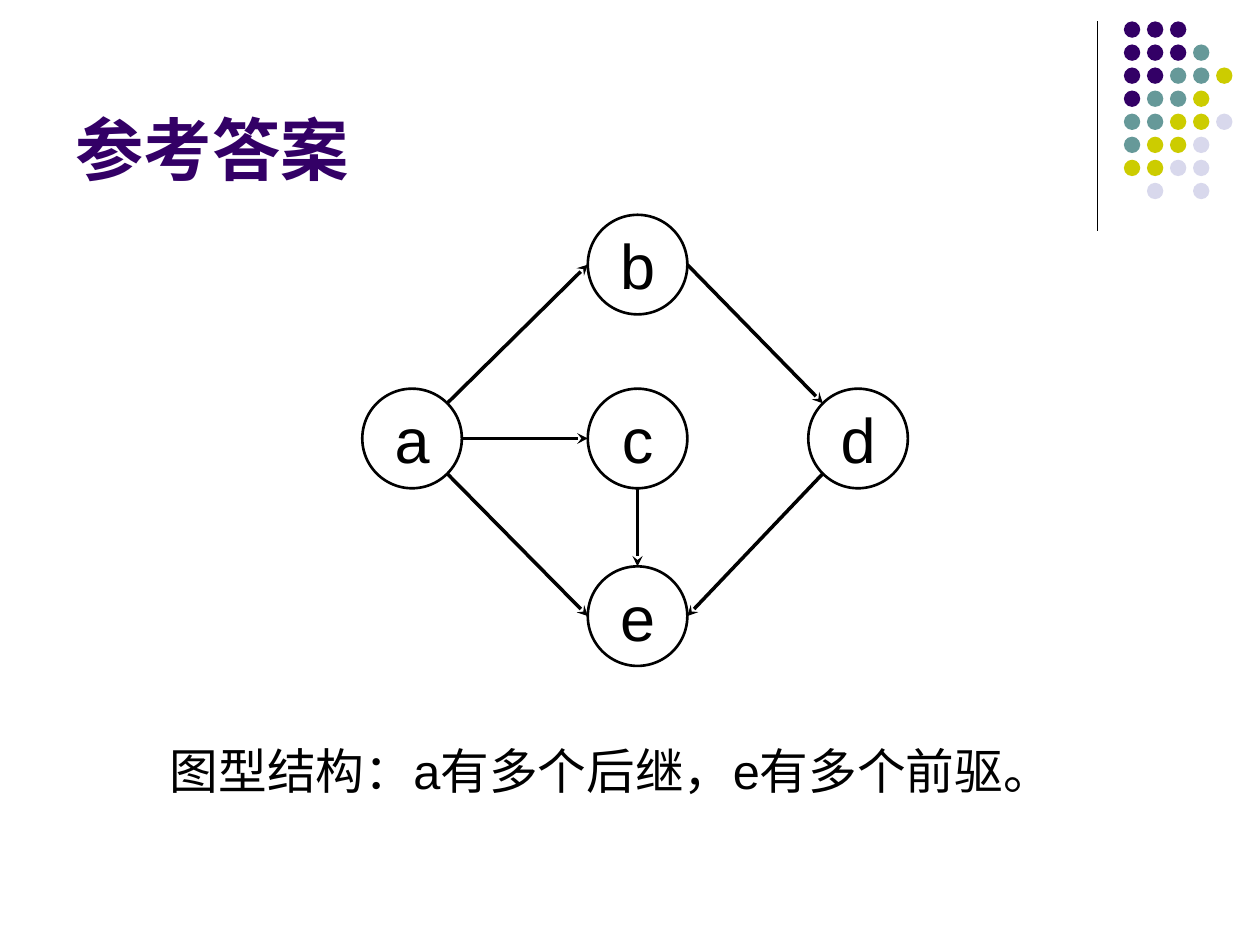
from math import cos, radians, sin
from pptx import Presentation
from pptx.dml.color import RGBColor
from pptx.enum.shapes import MSO_CONNECTOR, MSO_SHAPE
from pptx.enum.text import MSO_ANCHOR, MSO_AUTO_SIZE, PP_ALIGN
from pptx.oxml.ns import qn
from pptx.util import Inches, Pt
from lxml import etree

OVAL = MSO_SHAPE.OVAL
LINE = MSO_CONNECTOR.STRAIGHT
LEFT, MID = PP_ALIGN.LEFT, PP_ALIGN.CENTER
TOP, CORE, BASE = MSO_ANCHOR.TOP, MSO_ANCHOR.MIDDLE, MSO_ANCHOR.BOTTOM
FIXED = MSO_AUTO_SIZE.NONE

HUES = {"ink": "000000", "P": "330066", "T": "669999", "Y": "CCCC00", "L": "D8D8EC"}
INK = RGBColor.from_string(HUES["ink"])

deck = Presentation()
deck.slide_width, deck.slide_height = Inches(10), Inches(7.5)
slide = deck.slides.add_slide(deck.slide_layouts[5])
shapes = slide.shapes


def write(shape, text, size, hue, bold, align, anchor, wrap):
    frame = shape.text_frame
    frame.text = text
    form = {"auto_size": FIXED, "word_wrap": wrap, "vertical_anchor": anchor}
    for key, val in form.items():
        setattr(frame, key, val)
    para = frame.paragraphs[0]
    para.alignment = align
    para.font.color.rgb = RGBColor.from_string(HUES[hue])
    for key, val in {"name": "Arial", "size": Pt(size), "bold": bold}.items():
        setattr(para.font, key, val)


def draw(start, end, width, arrow):
    edge = shapes.add_connector(LINE, *(Inches(v) for v in (*start, *end)))
    edge.line.color.rgb = INK
    edge.line.width = Pt(width)
    if arrow:
        tail = etree.SubElement(edge.line._get_or_add_ln(), qn("a:tailEnd"))
        tail.set("type", "stealth")
    etree.SubElement(edge._element.spPr, qn("a:effectLst"))


draw((8.71, 0.17), (8.71, 1.83), 0.75, False)

DOTS = ["PPP", "PPPT", "PPTTY", "PTTY", "TTYYL", "TYYL", "YYLL", " L L"]
STEP, DOT = 0.183, 0.13
for row, marks in enumerate(DOTS):
    for col, mark in enumerate(marks):
        if mark == " ":
            continue
        spot = (8.92 + col * STEP, 0.17 + row * STEP, DOT, DOT)
        dot = shapes.add_shape(OVAL, *(Inches(v) for v in spot))
        dot.shadow.inherit = False
        dot.fill.solid()
        dot.fill.fore_color.rgb = RGBColor.from_string(HUES[mark])
        dot.line.fill.background()

title = shapes.title
place = {"left": 0.5, "top": 0.13, "width": 8.25, "height": 1.42}
for key, val in place.items():
    setattr(title, key, Inches(val))
write(title, "参考答案", 39, "P", True, LEFT, BASE, True)

note = shapes.add_textbox(*(Inches(v) for v in (1.25, 5.83, 7.83, 0.75)))
write(note, "图型结构：a有多个后继，e有多个前驱。", 27.8, "ink", False, LEFT, TOP, True)

COLS = [3.27, 5.06, 6.81]
ROWS = [2.1, 3.48, 4.89]
SIZE = 0.79
NODES = {"a": (0, 1), "e": (1, 2), "d": (2, 1), "b": (1, 0), "c": (1, 1)}
for name, (col, row) in NODES.items():
    spot = (COLS[col] - SIZE / 2, ROWS[row] - SIZE / 2, SIZE, SIZE)
    node = shapes.add_shape(OVAL, *(Inches(v) for v in spot))
    node.shadow.inherit = False
    node.fill.background()
    node.line.color.rgb = INK
    node.line.width = Pt(1.5)
    write(node, name, 36, "ink", False, MID, CORE, False)

EDGES = [
    ("a", 45, "b", 180),
    ("a", 0, "c", 180),
    ("d", 225, "e", 0),
    ("b", 0, "d", 135),
    ("a", 315, "e", 180),
    ("c", 270, "e", 90),
]
for head, out, tail, into in EDGES:
    ends = []
    for name, turn in ((head, out), (tail, into)):
        col, row = NODES[name]
        x = COLS[col] + SIZE / 2 * cos(radians(turn))
        y = ROWS[row] - SIZE / 2 * sin(radians(turn))
        ends.append((x, y))
    draw(*ends, 2, True)

deck.save("out.pptx")
